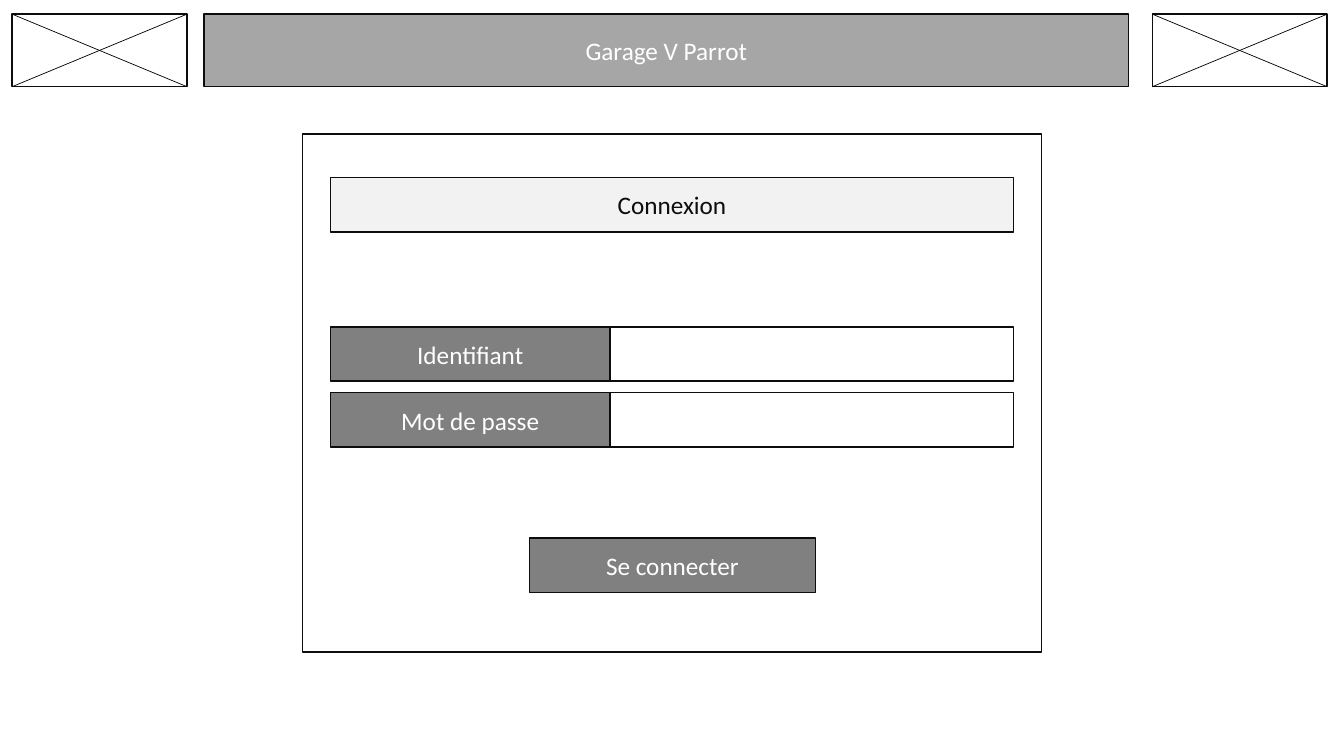
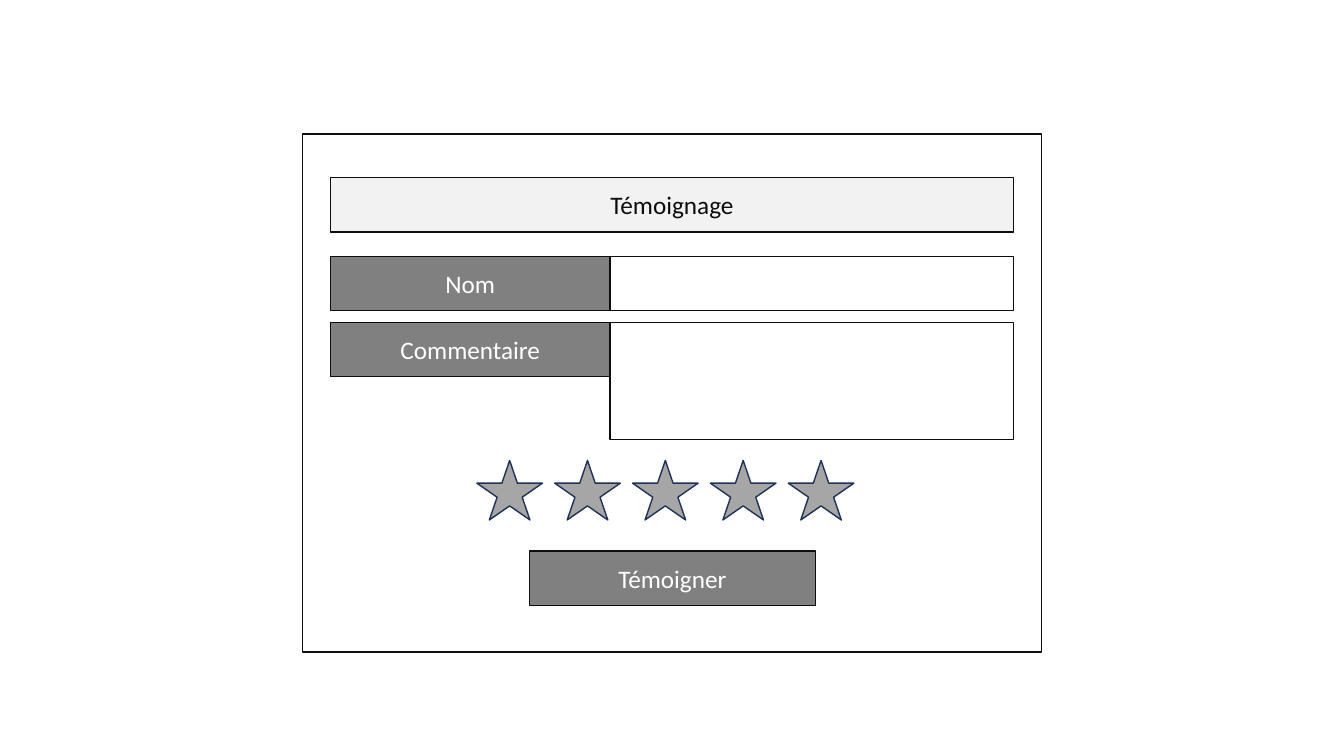
from dataclasses import dataclass

from lxml import etree
from pptx import Presentation
from pptx.dml.color import RGBColor
from pptx.enum.shapes import MSO_CONNECTOR, MSO_SHAPE
from pptx.enum.text import MSO_ANCHOR, PP_ALIGN
from pptx.oxml.ns import qn
from pptx.util import Inches, Pt

RECTANGLE, STAR = MSO_SHAPE.RECTANGLE, MSO_SHAPE.STAR_5_POINT
STRAIGHT = MSO_CONNECTOR.STRAIGHT
MIDDLE, CENTER = MSO_ANCHOR.MIDDLE, PP_ALIGN.CENTER

COLORS = {
    "ink": "0D0D0D",
    "cross": "000000",
    "white": "FFFFFF",
    "heading": "F2F2F2",
    "banner": "A6A6A6",
    "label": "808080",
    "star_line": "1E3256",
}
FONT = {"name": "Calibri", "size": Pt(18)}

# Rows and columns of the form, as percentages of the panel
MARGIN = 3.8
INNER_WIDTH = 100 - 2 * MARGIN
LABEL_WIDTH = 37.8
ROW_HEIGHT = 10.5
ROW_PITCH = 12.75


@dataclass
class Box:
    left: float
    top: float
    width: float
    height: float

    def inner(self, left, top, width, height):
        """Return the inner box given in percentages of this one."""
        return Box(
            self.left + self.width * left / 100,
            self.top + self.height * top / 100,
            self.width * width / 100,
            self.height * height / 100,
        )

    def emu(self):
        return [Inches(n) for n in (self.left, self.top, self.width, self.height)]


PAGE = Box(0, 0, 13.33, 7.5)
HEADER = PAGE.inner(0.9, 1.87, 97.85, 9.6)
PANEL = PAGE.inner(22.5, 17.75, 55, 68.5)


def rgb(name):
    return RGBColor.from_string(COLORS[name])


def add_block(slide, box, fill=None, text="", color="white", line="ink", kind=RECTANGLE):
    shape = slide.shapes.add_shape(kind, *box.emu())
    shape.shadow.inherit = False
    shape.line.color.rgb = rgb(line)
    shape.line.width = Pt(1)
    if fill:
        shape.fill.solid()
        shape.fill.fore_color.rgb = rgb(fill)
    else:
        shape.fill.background()
    if text:
        frame = shape.text_frame
        frame.vertical_anchor = MIDDLE
        paragraph = frame.paragraphs[0]
        paragraph.alignment = CENTER
        run = paragraph.add_run()
        run.text = text
        for attribute, value in FONT.items():
            setattr(run.font, attribute, value)
        run.font.color.rgb = rgb(color)


def add_crossed_box(slide, box):
    add_block(slide, box, "white")
    left, top, width, height = box.emu()
    right, bottom = left + width, top + height
    for start, end in ((top, bottom), (bottom, top)):
        connector = slide.shapes.add_connector(STRAIGHT, left, start, right, end)
        connector.line.color.rgb = rgb("cross")
        connector.line.width = Pt(0.5)
        properties = connector._element.spPr
        etree.SubElement(properties, qn("a:effectLst"))


def add_header(slide, box, title):
    logo_width = 13.3
    add_block(slide, box.inner(14.6, 0, 70.3, 100), "banner", title)
    for left in (0, 100 - logo_width):
        add_crossed_box(slide, box.inner(left, 0, logo_width, 100))


def add_stars(slide, box, count=5, star_width=17.4):
    pitch = (100 - star_width) / (count - 1)
    for index in range(count):
        star = box.inner(index * pitch, 0, star_width, 100)
        add_block(slide, star, "banner", line="star_line", kind=STAR)


def add_form(slide, box, heading, fields, fields_top, button, button_top):
    """Draw a framed form; fields pairs each label with its entry height."""
    add_block(slide, box)
    add_block(slide, box.inner(MARGIN, 8.4, INNER_WIDTH, ROW_HEIGHT),
              "heading", heading, "ink")
    entry_left, entry_width = MARGIN + LABEL_WIDTH, INNER_WIDTH - LABEL_WIDTH
    for index, (label, entry_height) in enumerate(fields):
        top = fields_top + index * ROW_PITCH
        add_block(slide, box.inner(MARGIN, top, LABEL_WIDTH, ROW_HEIGHT),
                  "label", label)
        add_block(slide, box.inner(entry_left, top, entry_width, entry_height), "white")
    add_block(slide, box.inner(30.7, button_top, 38.7, ROW_HEIGHT), "label", button)


def build_login(slide):
    fields = [("Identifiant", ROW_HEIGHT), ("Mot de passe", ROW_HEIGHT)]
    add_form(slide, PANEL, "Connexion", fields, 37.2, "Se connecter", 78)
    add_header(slide, HEADER, "Garage V Parrot")


def build_testimonial(slide):
    fields = [("Nom", ROW_HEIGHT), ("Commentaire", 22.6)]
    add_form(slide, PANEL, "Témoignage", fields, 23.6, "Témoigner", 80.5)
    add_stars(slide, PANEL.inner(23.6, 63, 51, 11.5))


def main():
    presentation = Presentation()
    presentation.slide_width = Inches(PAGE.width)
    presentation.slide_height = Inches(PAGE.height)
    blank = presentation.slide_layouts[6]
    for build in (build_login, build_testimonial):
        build(presentation.slides.add_slide(blank))
    presentation.save("out.pptx")


if __name__ == "__main__":
    main()
